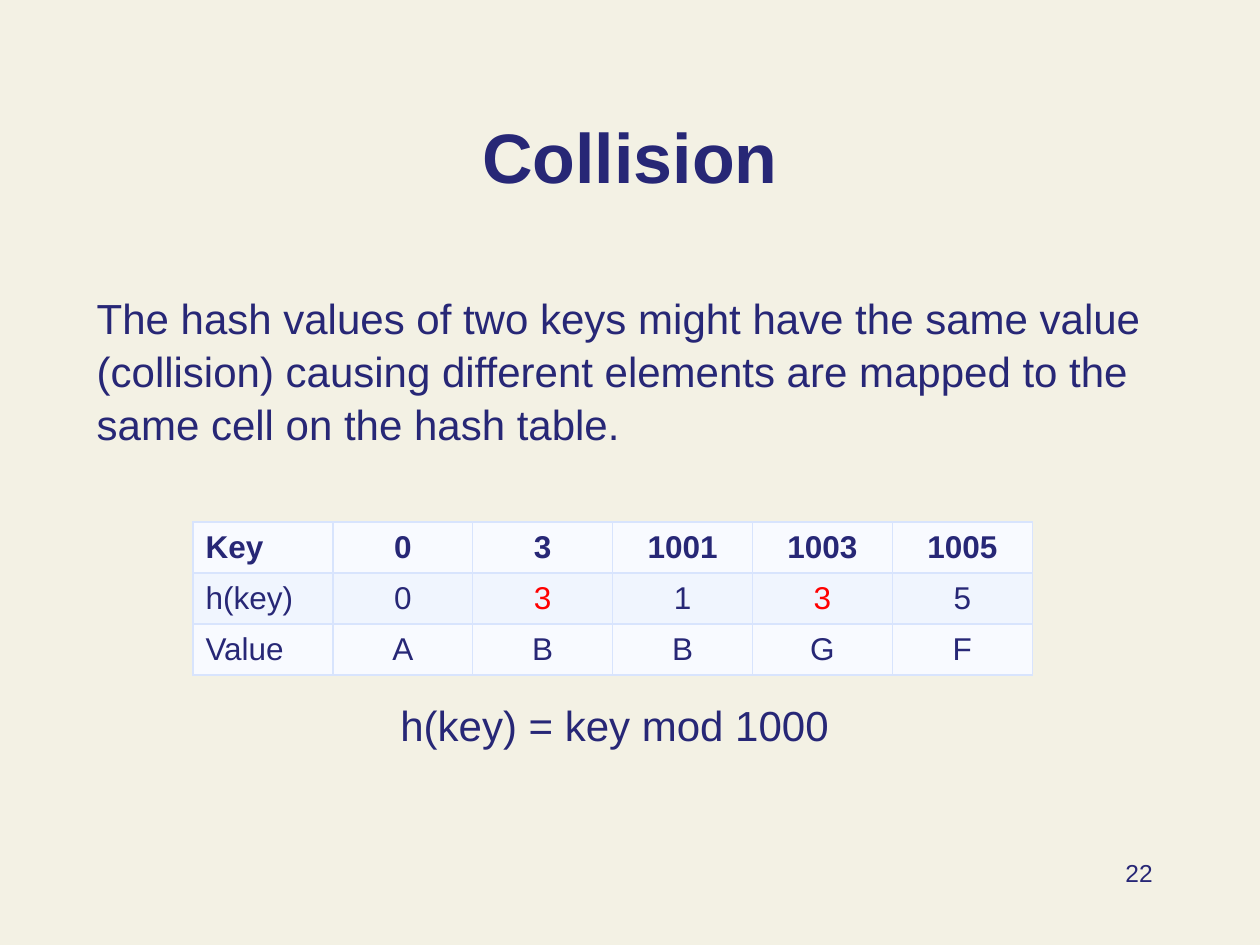
import dataclasses
import typing

import lxml.etree
import pptx
import pptx.dml.color
import pptx.enum.text
import pptx.oxml.ns
import pptx.util

Cm = pptx.util.Cm
Pt = pptx.util.Pt
Align = pptx.enum.text.PP_ALIGN
Anchor = pptx.enum.text.MSO_ANCHOR

NAVY = "272776"
RED = "FF0000"
BACKGROUND = "F3F1E4"
BORDER = "D8E4FD"
ROW_FILLS = ("F8FAFF", "F0F5FE")
COLUMN_WIDTH = Cm(2.82)
ROW_HEIGHT = Cm(1.03)
TABLE_ROWS = (
    ("Key", "0", "3", "1001", "1003", "1005"),
    ("h(key)", "0", "3", "1", "3", "5"),
    ("Value", "A", "B", "B", "G", "F"),
)
COLLIDING_CELLS = {(1, 2), (1, 4)}


@dataclasses.dataclass(frozen=True)
class TextBlock:
    text: str
    left: float
    top: float
    width: float
    height: float
    size: int
    alignment: Align = Align.LEFT
    bold: bool = False
    anchor: Anchor = Anchor.TOP


TITLE = TextBlock("Collision", 1.9, 1.37, 21.6, 2.74, 40, Align.CENTER, True, Anchor.BOTTOM)
TEXT_BLOCKS = (
    TextBlock("h(key) = key mod 1000", 7.49, 13.92, 9.8, 1.3, 24, Align.CENTER),
    TextBlock(
        "The hash values of two keys might have the same value (collision) causing "
        "different elements are mapped to the same cell on the hash table.",
        1.7, 5.72, 22, 4.37, 24,
    ),
    TextBlock("22", 18.21, 17.15, 5.28, 1.27, 14, Align.RIGHT),
)


def color(value: str) -> pptx.dml.color.RGBColor:
    return pptx.dml.color.RGBColor.from_string(value)


def write_text(
    frame: typing.Any, text: str, size: int, alignment: Align, bold: bool, text_color: str = NAVY
) -> None:
    paragraph = frame.paragraphs[0]
    paragraph.alignment = alignment
    paragraph.line_spacing = 1.05
    run = paragraph.add_run()
    run.text = text
    run.font.name = "Arial"
    run.font.size = Pt(size)
    run.font.bold = bold
    run.font.color.rgb = color(text_color)


def fill_block(shape: typing.Any, block: TextBlock) -> None:
    shape.left, shape.top = Cm(block.left), Cm(block.top)
    shape.width, shape.height = Cm(block.width), Cm(block.height)
    frame = shape.text_frame
    frame.word_wrap = True
    frame.auto_size = pptx.enum.text.MSO_AUTO_SIZE.NONE
    frame.vertical_anchor = block.anchor
    write_text(frame, block.text, block.size, block.alignment, block.bold)


def set_borders(cell: typing.Any) -> None:
    qn = pptx.oxml.ns.qn
    properties = cell._tc.get_or_add_tcPr()
    for index, side in enumerate(("lnL", "lnR", "lnT", "lnB")):
        line = lxml.etree.Element(qn(f"a:{side}"), w=str(Pt(1)))
        solid_fill = lxml.etree.SubElement(line, qn("a:solidFill"))
        lxml.etree.SubElement(solid_fill, qn("a:srgbClr"), val=BORDER)
        properties.insert(index, line)


def draw_table(slide: typing.Any) -> None:
    row_count, column_count = len(TABLE_ROWS), len(TABLE_ROWS[0])
    table = slide.shapes.add_table(
        row_count, column_count, Cm(3.89), Cm(10.52),
        COLUMN_WIDTH * column_count, ROW_HEIGHT * row_count,
    ).table
    for column in table.columns:
        column.width = COLUMN_WIDTH
    for row_index, values in enumerate(TABLE_ROWS):
        table.rows[row_index].height = ROW_HEIGHT
        for column_index, value in enumerate(values):
            cell = table.cell(row_index, column_index)
            cell.fill.solid()
            cell.fill.fore_color.rgb = color(ROW_FILLS[row_index % 2])
            set_borders(cell)
            write_text(
                cell.text_frame,
                value,
                18,
                Align.CENTER if column_index else Align.LEFT,
                row_index == 0,
                RED if (row_index, column_index) in COLLIDING_CELLS else NAVY,
            )


def main() -> None:
    presentation = pptx.Presentation()
    presentation.slide_width, presentation.slide_height = Cm(25.4), Cm(19.05)
    slide = presentation.slides.add_slide(presentation.slide_layouts[5])
    slide.background.fill.solid()
    slide.background.fill.fore_color.rgb = color(BACKGROUND)
    fill_block(slide.shapes.title, TITLE)
    draw_table(slide)
    for block in TEXT_BLOCKS:
        fill_block(slide.shapes.add_textbox(0, 0, 0, 0), block)
    presentation.save("out.pptx")


if __name__ == "__main__":
    main()
